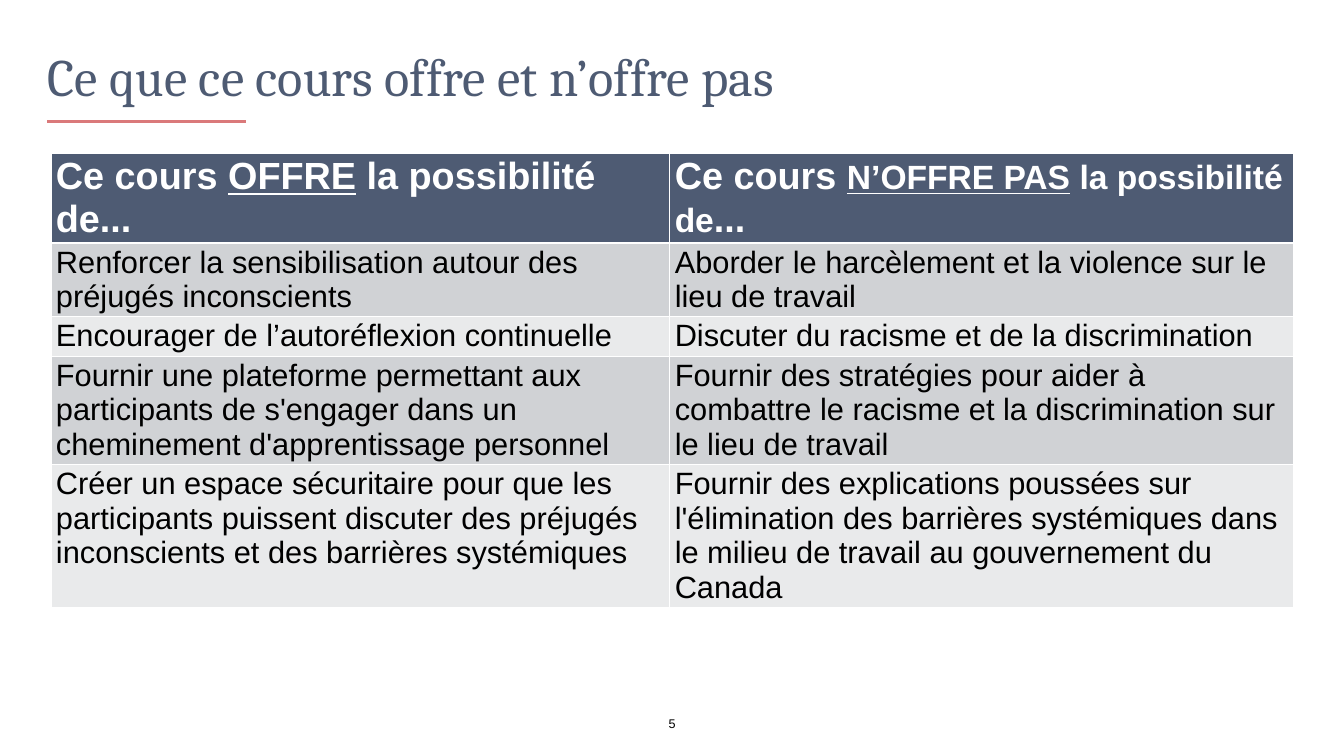
from dataclasses import dataclass

from lxml import etree
from pptx import Presentation
from pptx.dml.color import RGBColor
from pptx.enum import shapes, text
from pptx.oxml import ns
from pptx.util import Pt

PX = 9144
NAVY, ROSE, WHITE, BLACK = "4E5B73", "DA797A", "FFFFFF", "000000"
BANDS = ("D0D2D5", "E9EAEB")


@dataclass
class Run:
    text: str
    size: int = 54
    underline: bool = False


@dataclass
class Row:
    offered: list[Run]
    not_offered: list[Run]


def body_row(offered: str, not_offered: str) -> Row:
    return Row([Run(offered, 44)], [Run(not_offered, 44)])


ROWS = [
    Row(
        [Run("Ce cours "), Run("OFFRE", underline=True), Run(" la possibilité de...")],
        [
            Run("Ce cours "),
            Run("N’OFFRE PAS", 48, True),
            Run(" la possibilité de", 48),
            Run("..."),
        ],
    ),
    body_row(
        "Renforcer la sensibilisation autour des préjugés inconscients",
        "Aborder le harcèlement et la violence sur le lieu de travail",
    ),
    body_row(
        "Encourager de l’autoréflexion continuelle",
        "Discuter du racisme et de la discrimination",
    ),
    body_row(
        "Fournir une plateforme permettant aux participants de s'engager dans un "
        "cheminement d'apprentissage personnel",
        "Fournir des stratégies pour aider à combattre le racisme et la "
        "discrimination sur le lieu de travail",
    ),
    body_row(
        "Créer un espace sécuritaire pour que les participants puissent discuter "
        "des préjugés inconscients et des barrières systémiques",
        "Fournir des explications poussées sur l'élimination des barrières "
        "systémiques dans le milieu de travail au gouvernement du Canada",
    ),
]


def px(*lengths: int) -> list[int]:
    return [length * PX for length in lengths]


def color(value: str) -> RGBColor:
    return RGBColor.from_string(value)


def style_font(font, name: str, size: int, value: str) -> None:
    font.name, font.size = name, Pt(size)
    font.color.rgb = color(value)


def clear_margins(tf) -> None:
    tf.margin_left = tf.margin_top = tf.margin_right = tf.margin_bottom = 0
    tf.word_wrap = True
    tf.auto_size = text.MSO_AUTO_SIZE.NONE


def set_borders(cell, bottom: int) -> None:
    tc_pr = cell._tc.get_or_add_tcPr()
    widths = {"lnL": 1, "lnR": 1, "lnT": 1, "lnB": bottom}
    for i, (side, width) in enumerate(widths.items()):
        ln = etree.Element(ns.qn(f"a:{side}"), w=str(Pt(width)))
        fill = etree.SubElement(ln, ns.qn("a:solidFill"))
        etree.SubElement(fill, ns.qn("a:srgbClr"), val=WHITE)
        tc_pr.insert(i, ln)


def fill_cell(cell, runs: list[Run], row: int) -> None:
    header = row == 0
    cell.fill.solid()
    cell.fill.fore_color.rgb = color(NAVY if header else BANDS[(row - 1) % 2])
    set_borders(cell, 3 if header else 1)
    p = cell.text_frame.paragraphs[0]
    for run in runs:
        r = p.add_run()
        r.text = run.text
        style_font(r.font, "Arial", run.size, WHITE if header else BLACK)
        r.font.bold, r.font.underline = header, run.underline


def add_title(slide, title: str) -> None:
    sp = slide.shapes.title
    sp.left, sp.top, sp.width, sp.height = px(94, 42, 2480, 173)
    tf = sp.text_frame
    tf.text = title
    clear_margins(tf)
    tf.vertical_anchor = text.MSO_ANCHOR.BOTTOM
    p = tf.paragraphs[0]
    p.alignment, p.line_spacing = text.PP_ALIGN.LEFT, 0.9
    style_font(p.font, "Cambria", 75, NAVY)


def add_rule(slide) -> None:
    line = slide.shapes.add_connector(
        shapes.MSO_CONNECTOR.STRAIGHT, *px(94, 241, 488, 241)
    )
    line.line.color.rgb, line.line.width = color(ROSE), Pt(3)
    etree.SubElement(line._element.spPr, ns.qn("a:effectLst"))


def add_comparison(slide, rows: list[Row]) -> None:
    frame = slide.shapes.add_table(len(rows), 2, *px(101, 304, 2466, 41 * len(rows)))
    table = frame.table
    for column, width in zip(table.columns, px(1228, 1238)):
        column.width = width
    for i, row in enumerate(rows):
        for j, runs in enumerate((row.offered, row.not_offered)):
            fill_cell(table.cell(i, j), runs, i)


def add_page_number(slide, number: str) -> None:
    tf = slide.shapes.add_textbox(*px(1289, 1415, 89, 42)).text_frame
    tf.text = number
    clear_margins(tf)
    tf.vertical_anchor = text.MSO_ANCHOR.MIDDLE
    p = tf.paragraphs[0]
    p.alignment = text.PP_ALIGN.CENTER
    style_font(p.font, "Arial", 18, BLACK)


def main() -> None:
    prs = Presentation()
    prs.slide_width, prs.slide_height = px(2667, 1500)
    slide = prs.slides.add_slide(prs.slide_layouts[5])
    add_title(slide, "Ce que ce cours offre et n’offre pas")
    add_rule(slide)
    add_comparison(slide, ROWS)
    add_page_number(slide, "5")
    prs.save("out.pptx")


if __name__ == "__main__":
    main()
